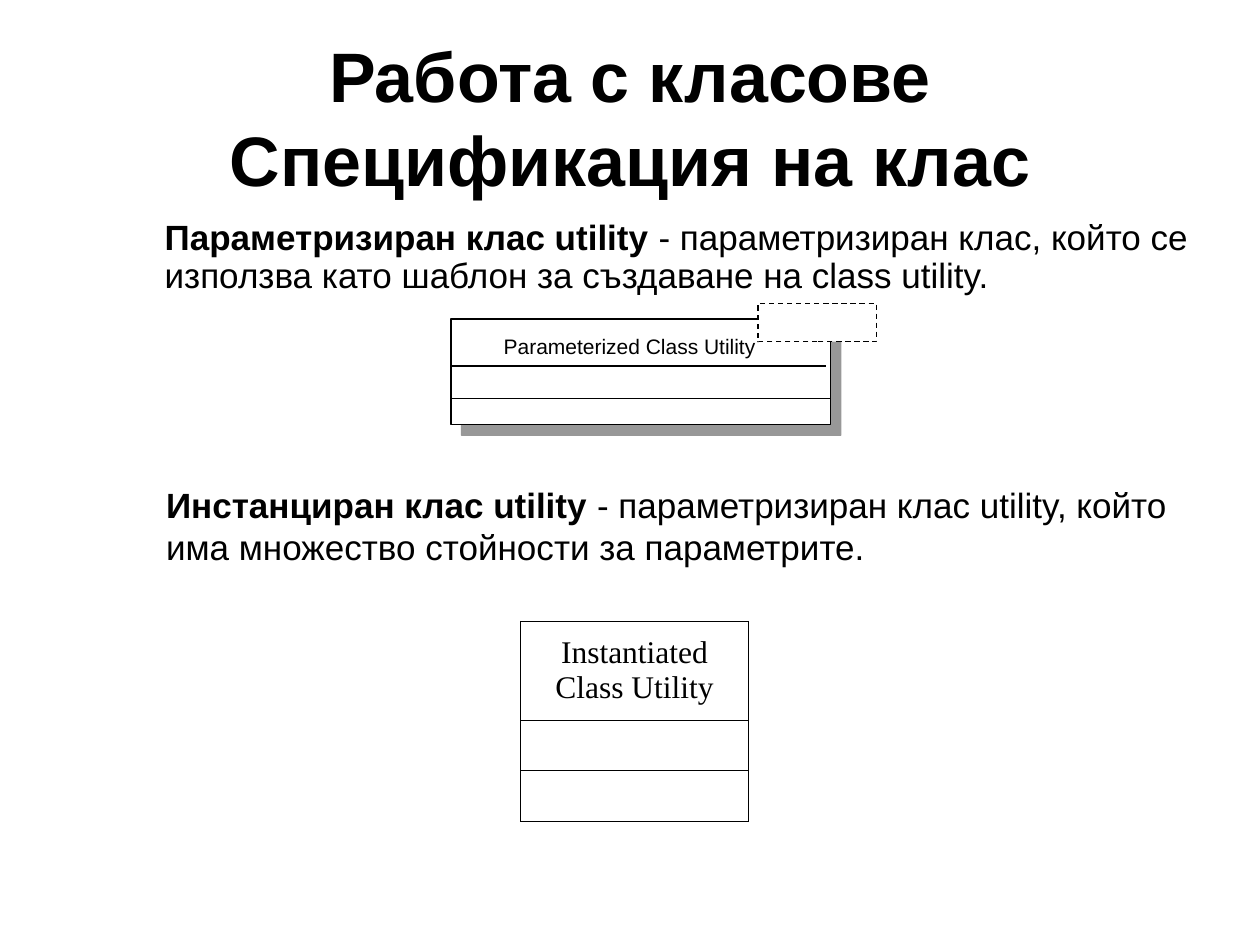
import pptx
import pptx.util
import pptx.dml.color
import pptx.enum.dml
import pptx.enum.shapes
import pptx.enum.text
import pptx.oxml
import pptx.oxml.ns
import lxml.etree

Pt = pptx.util.Pt
ALIGN = pptx.enum.text.PP_ALIGN
ANCHOR = pptx.enum.text.MSO_ANCHOR
RECTANGLE = pptx.enum.shapes.MSO_SHAPE.RECTANGLE
STRAIGHT = pptx.enum.shapes.MSO_CONNECTOR.STRAIGHT
NAMESPACE = pptx.oxml.ns.nsdecls("a")
BLACK = "000000"
WHITE = "FFFFFF"


def color(value):
    return pptx.dml.color.RGBColor.from_string(value)


def format_span(span, size, bold=False, font="Arial"):
    span.font.name = font
    span.font.size = Pt(size)
    span.font.bold = bold
    span.font.color.rgb = color(BLACK)


def add_text_box(page, left, top, width, height, anchor):
    box = page.shapes.add_textbox(Pt(left), Pt(top), Pt(width), Pt(height))
    box.text_frame.word_wrap = True
    box.text_frame.vertical_anchor = anchor
    return box


def add_title(page, left, top, width, height):
    box = add_text_box(page, left, top, width, height, ANCHOR.MIDDLE)
    para = box.text_frame.paragraphs[0]
    para.text = "Работа с класове Спецификация на клас"
    para.alignment = ALIGN.CENTER
    format_span(para.runs[0], 40, bold=True)


def add_definition(page, left, top, width, height, term, meaning, anchor, spacing):
    box = add_text_box(page, left, top, width, height, anchor)
    para = box.text_frame.paragraphs[0]
    para.line_spacing = spacing
    for text, bold in ((term, True), (meaning, False)):
        span = para.add_run()
        span.text = text
        format_span(span, 20, bold)


def add_rectangle(group, left, top, width, height, outlined=True):
    box = group.shapes.add_shape(RECTANGLE, Pt(left), Pt(top), Pt(width), Pt(height))
    box.shadow.inherit = False
    box.fill.solid()
    box.fill.fore_color.rgb = color(WHITE)
    if outlined:
        box.line.color.rgb = color(BLACK)
        box.line.width = Pt(0.75)
    else:
        box.line.fill.background()
    return box


def add_separator(group, left, top, width):
    line = group.shapes.add_connector(STRAIGHT, Pt(left), Pt(top), Pt(left + width), Pt(top))
    line.line.color.rgb = color(BLACK)
    line.line.width = Pt(0.75)
    lxml.etree.SubElement(line._element.spPr, pptx.oxml.ns.qn("a:effectLst"))


def add_shadow(box):
    effects = box._element.spPr.find(pptx.oxml.ns.qn("a:effectLst"))
    effects.append(pptx.oxml.parse_xml(
        f'<a:outerShdw {NAMESPACE} blurRad="0" dist="{Pt(8.5)}" dir="2700000" algn="ctr" rotWithShape="0">'
        '<a:srgbClr val="333333"><a:alpha val="50000"/></a:srgbClr></a:outerShdw>'))


def add_parameterized_class(page, left, top, width, height):
    group = page.shapes.add_group_shape()
    add_shadow(add_rectangle(group, left, top, width, height))
    add_separator(group, left, top + 27, width - 2.5)
    add_separator(group, left, top + 45.5, width)

    label = add_rectangle(group, left + 23, top + 5, 146, 21, outlined=False)
    label.text_frame.word_wrap = False
    label.text_frame.vertical_anchor = ANCHOR.TOP
    para = label.text_frame.paragraphs[0]
    para.text = "Parameterized Class Utility"
    para.alignment = ALIGN.LEFT
    format_span(para.runs[0], 12)

    parameters = add_rectangle(group, left + 175.5, top - 8.75, 67.75, 21.75)
    parameters.line.dash_style = pptx.enum.dml.MSO_LINE.DASH


def add_borders(cell):
    properties = cell._tc.get_or_add_tcPr()
    for index, side in enumerate(("lnL", "lnR", "lnT", "lnB")):
        properties.insert(index, pptx.oxml.parse_xml(
            f'<a:{side} {NAMESPACE} w="{Pt(0.45)}"><a:solidFill><a:srgbClr val="{BLACK}"/>'
            f'</a:solidFill></a:{side}>'))


def add_instantiated_class(page, left, top, width, heights):
    frame = page.shapes.add_table(len(heights), 1, Pt(left), Pt(top), Pt(width), Pt(sum(heights)))
    table = frame.table
    table.first_row = False
    table.horz_banding = False
    for row, height in zip(table.rows, heights):
        row.height = Pt(height)
        cell = row.cells[0]
        cell.fill.background()
        add_borders(cell)
    name = table.cell(0, 0)
    name.vertical_anchor = ANCHOR.MIDDLE
    para = name.text_frame.paragraphs[0]
    para.text = "Instantiated Class Utility"
    para.alignment = ALIGN.CENTER
    format_span(para.runs[0], 18, font="Times New Roman")


def main():
    deck = pptx.Presentation()
    deck.slide_width = Pt(720)
    deck.slide_height = Pt(540)
    page = deck.slides.add_slide(deck.slide_layouts[6])
    add_title(page, 36, 21.6, 648, 90)
    add_definition(
        page, 87, 122.4, 608.5, 62.6, "Параметризиран клас utility ",
        "- параметризиран клас, който се използва като шаблон за създаване на class utility.",
        ANCHOR.TOP, 0.9)
    add_parameterized_class(page, 257.75, 182.25, 216.75, 60.5)
    add_definition(
        page, 87.8, 272.9, 601.2, 55.4, "Инстанциран клас utility ",
        "- параметризиран клас utility, който има множество стойности за параметрите.",
        ANCHOR.MIDDLE, 1.0)
    add_instantiated_class(page, 297.5, 355, 130.25, (56.5, 28.75, 28.75))
    deck.save("out.pptx")


if __name__ == "__main__":
    main()
